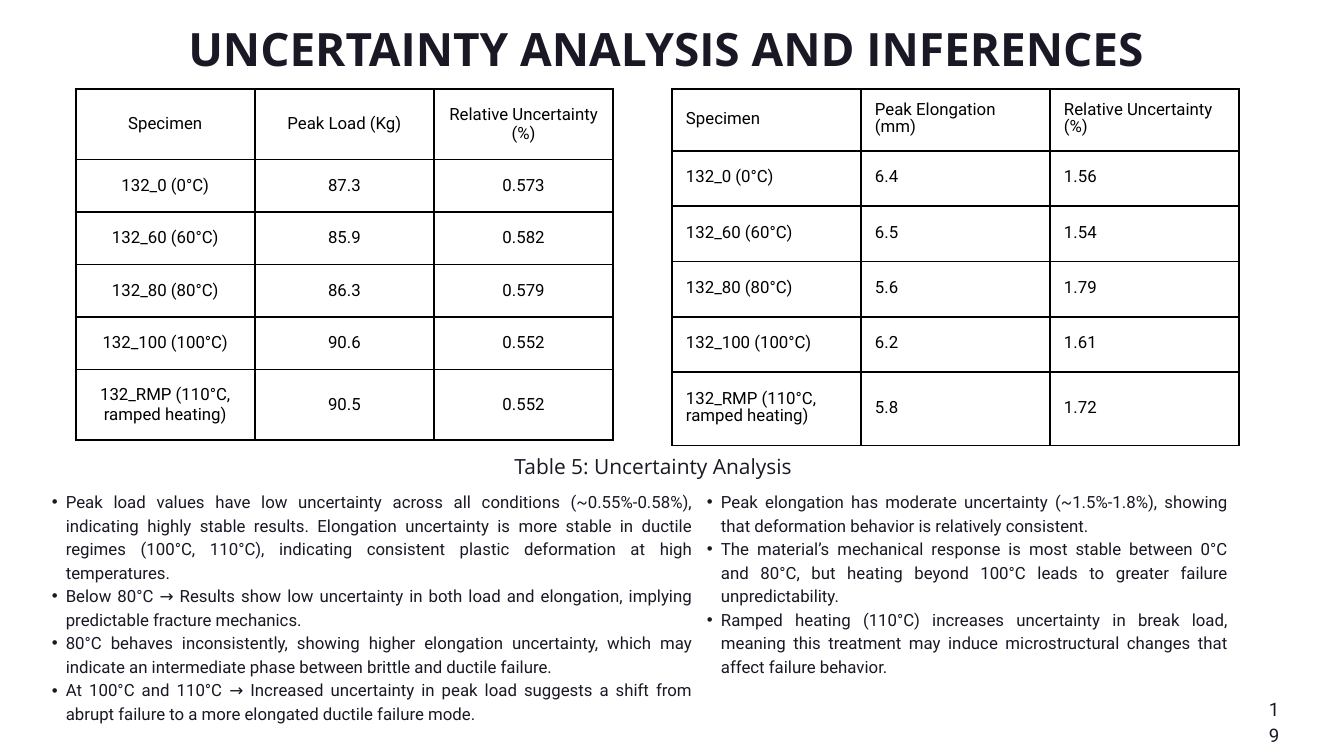
from dataclasses import dataclass
from lxml.etree import SubElement
from pptx import Presentation
from pptx.dml.color import RGBColor
from pptx.enum.text import MSO_ANCHOR as Anchor, MSO_AUTO_SIZE as AutoSize, PP_ALIGN as Align
from pptx.oxml.ns import qn
from pptx.slide import Slide
from pptx.util import Emu, Pt

EMU_PER_PX = 9525
INK = RGBColor(0x19, 0x18, 0x24)
BLACK = RGBColor(0, 0, 0)
BORDER_WIDTH = Pt(2.25)
CELL_MARGIN = 20
BULLET_INDENT = 20


@dataclass(frozen=True)
class TextStyle:
    size: float
    line_spacing: float
    font: str = "Roboto"
    color: RGBColor = INK
    align: Align = Align.LEFT
    bold: bool = False
    bulleted: bool = False


@dataclass(frozen=True)
class TextBlock:
    left: int
    top: int
    width: int
    height: int
    style: TextStyle
    paragraphs: tuple[str, ...]


@dataclass(frozen=True)
class DataTable:
    left: int
    top: int
    column_width: int
    row_heights: tuple[int, ...]
    style: TextStyle
    rows: tuple[tuple[str, ...], ...]


TITLE = TextStyle(49.2, 59.1, font="Open Sans", bold=True)
CAPTION = TextStyle(22.4, 31.4, font="Open Sans")
BULLETS = TextStyle(18, 25.2, align=Align.JUSTIFY, bulleted=True)
PAGE_NUMBER = TextStyle(20, 28, align=Align.CENTER)
CENTERED_CELL = TextStyle(18, 21, color=BLACK, align=Align.CENTER)
LEFT_CELL = TextStyle(18, 18.2, color=BLACK)

SPECIMENS = (
    "132_0 (0°C)",
    "132_60 (60°C)",
    "132_80 (80°C)",
    "132_100 (100°C)",
    "132_RMP (110°C, ramped heating)",
)
PEAK_LOADS = ("87.3", "85.9", "86.3", "90.6", "90.5")
LOAD_UNCERTAINTIES = ("0.573", "0.582", "0.579", "0.552", "0.552")
ELONGATIONS = ("6.4", "6.5", "5.6", "6.2", "5.8")
ELONGATION_UNCERTAINTIES = ("1.56", "1.54", "1.79", "1.61", "1.72")

TABLES = (
    DataTable(108, 127, 256, (101, 75, 75, 75, 75, 101), CENTERED_CELL, (
        ("Specimen", "Peak Load (Kg)", "Relative Uncertainty (%)"),
        *zip(SPECIMENS, PEAK_LOADS, LOAD_UNCERTAINTIES),
    )),
    DataTable(960, 127, 270, (79, 79, 79, 79, 79, 105), LEFT_CELL, (
        ("Specimen", "Peak Elongation (mm)", "Relative Uncertainty (%)"),
        *zip(SPECIMENS, ELONGATIONS, ELONGATION_UNCERTAINTIES),
    )),
)

TEXT_BLOCKS = (
    TextBlock(269, 30, 1382, 78, TITLE, ("UNCERTAINTY ANALYSIS AND INFERENCES",)),
    TextBlock(735, 642, 405, 40, CAPTION, ("Table 5: Uncertainty Analysis",)),
    TextBlock(54, 698, 935, 334, BULLETS, (
        "Peak load values have low uncertainty across all conditions (~0.55%-0.58%), "
        "indicating highly stable results. Elongation uncertainty is more stable in ductile "
        "regimes (100°C, 110°C), indicating consistent plastic deformation at high temperatures.",
        "Below 80°C → Results show low uncertainty in both load and elongation, "
        "implying predictable fracture mechanics.",
        "80°C behaves inconsistently, showing higher elongation uncertainty, which may "
        "indicate an intermediate phase between brittle and ductile failure.",
        "At 100°C and 110°C → Increased uncertainty in peak load suggests a shift from "
        "abrupt failure to a more elongated ductile failure mode.",
    )),
    TextBlock(990, 698, 764, 262, BULLETS, (
        "Peak elongation has moderate uncertainty (~1.5%-1.8%), showing that deformation "
        "behavior is relatively consistent.",
        "The material’s mechanical response is most stable between 0°C and 80°C, but "
        "heating beyond 100°C leads to greater failure unpredictability.",
        "Ramped heating (110°C) increases uncertainty in break load, meaning this "
        "treatment may induce microstructural changes that affect failure behavior.",
    )),
    TextBlock(1812, 992, 16, 21, PAGE_NUMBER, ("19",)),
)


def px(length: int) -> Emu:
    return Emu(length * EMU_PER_PX)


def set_attributes(target: object, values: dict) -> None:
    for name, value in values.items():
        setattr(target, name, value)


def write_paragraph(paragraph, text: str, style: TextStyle) -> None:
    if style.bulleted:
        paragraph.level = 1
        properties = paragraph._p.get_or_add_pPr()
        properties.set("marL", str(px(2 * BULLET_INDENT)))
        properties.set("indent", str(px(-BULLET_INDENT)))
        SubElement(properties, qn("a:buFont"), typeface="Arial")
        SubElement(properties, qn("a:buChar"), char="•")
    set_attributes(paragraph, {"alignment": style.align, "line_spacing": Pt(style.line_spacing)})
    run = paragraph.add_run()
    run.text = text
    set_attributes(run.font, {"name": style.font, "size": Pt(style.size), "bold": style.bold})
    run.font.color.rgb = style.color


def draw_text(slide: Slide, block: TextBlock) -> None:
    box = slide.shapes.add_textbox(*map(px, (block.left, block.top, block.width, block.height)))
    frame = box.text_frame
    set_attributes(frame, {
        "word_wrap": True,
        "auto_size": AutoSize.SHAPE_TO_FIT_TEXT,
        "margin_left": 0,
        "margin_top": 0,
        "margin_right": 0,
        "margin_bottom": 0,
    })
    for index, text in enumerate(block.paragraphs):
        paragraph = frame.add_paragraph() if index else frame.paragraphs[0]
        write_paragraph(paragraph, text, block.style)


def add_borders(cell) -> None:
    properties = cell._tc.get_or_add_tcPr()
    for side in ("lnL", "lnR", "lnT", "lnB"):
        line = SubElement(properties, qn(f"a:{side}"), w=str(BORDER_WIDTH))
        fill = SubElement(line, qn("a:solidFill"))
        SubElement(fill, qn("a:srgbClr"), val=str(BLACK))


def draw_table(slide: Slide, data: DataTable) -> None:
    column_count = len(data.rows[0])
    frame = slide.shapes.add_table(
        len(data.rows), column_count, px(data.left), px(data.top),
        px(data.column_width * column_count), px(sum(data.row_heights)),
    )
    table = frame.table
    set_attributes(table, {"first_row": False, "horz_banding": False})
    for column in table.columns:
        column.width = px(data.column_width)
    for row, height, values in zip(table.rows, data.row_heights, data.rows):
        row.height = px(height)
        for cell, text in zip(row.cells, values):
            set_attributes(cell, {
                "vertical_anchor": Anchor.MIDDLE,
                "margin_left": px(CELL_MARGIN),
                "margin_top": px(CELL_MARGIN),
                "margin_right": px(CELL_MARGIN),
                "margin_bottom": px(CELL_MARGIN),
            })
            add_borders(cell)
            cell.fill.background()
            write_paragraph(cell.text_frame.paragraphs[0], text, data.style)


def main() -> None:
    presentation = Presentation()
    set_attributes(presentation, {"slide_width": px(1920), "slide_height": px(1080)})
    slide = presentation.slides.add_slide(presentation.slide_layouts[6])
    for table in TABLES:
        draw_table(slide, table)
    for block in TEXT_BLOCKS:
        draw_text(slide, block)
    presentation.save("out.pptx")


if __name__ == "__main__":
    main()
